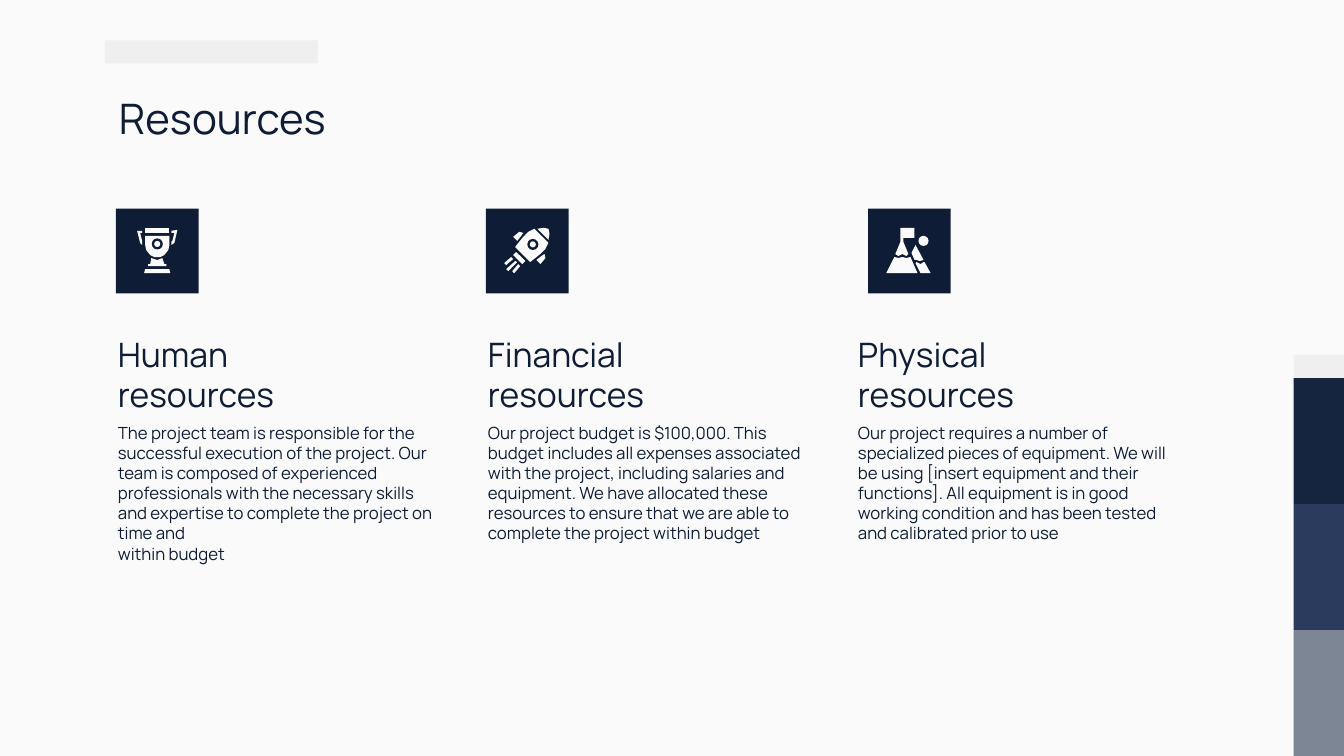
from dataclasses import dataclass
from pptx import Presentation
from pptx.dml.color import RGBColor as Rgb
from pptx.enum.shapes import MSO_SHAPE as Kind
from pptx.enum.text import MSO_ANCHOR as Anchor, MSO_AUTO_SIZE as Fit, PP_ALIGN as Align
from pptx.util import Inches, Pt


@dataclass(frozen=True)
class Theme:
    font: str = "Manrope"
    page: str = "FAFAFA"
    ink: str = "0E1D35"
    pale: str = "EFEFEF"
    title: int = 30
    head: int = 24
    body: int = 12


T = Theme()
TITLE = "Resources"
BANDS = ["15253F", "2B3B5D", "7C8594"]

TROPHY = {
    "parts": [
        [(35, 49), (34, 55), (32, 55), (32, 57), (50, 57), (50, 55), (48, 55), (46, 49), (41, 51)],
        [(29, 60), (28, 64), (54, 64), (53, 60)],
        [(29, 27), (29, 36), (30, 41), (34, 46), (38, 48), (44, 48), (48, 46), (52, 41),
         (53, 36), (53, 27)],
        [(29, 19), (29, 24), (53, 24), (53, 19)],
        [(61, 21), (55, 22), (55, 24), (58, 24), (56, 32), (55, 33), (55, 36), (58, 34)],
        [(21, 22), (24, 34), (26, 36), (26, 32), (24, 24), (26, 24), (26, 22)],
    ],
    "discs": [(41, 35, 5.5, T.ink), (41, 35, 3, T.page)],
}
ROCKET = {
    "parts": [
        [(30, 43), (27, 46), (36, 55), (39, 52)],
        [(33, 23), (27, 28), (31, 32), (35, 27), (37, 24)],
        [(58, 45), (55, 47), (50, 51), (54, 55), (59, 49)],
        [(25, 48), (18, 54), (20, 56), (27, 50)],
        [(29, 52), (20, 60), (22, 62), (31, 53)],
        [(32, 55), (26, 62), (28, 64), (34, 57)],
        [(51, 20), (57, 19), (62, 20), (63, 25), (62, 31)],
        [(48, 20), (42, 23), (37, 28), (29, 38), (44, 53), (54, 45), (59, 40), (62, 34)],
    ],
    "discs": [(46.5, 35.5, 5.5, T.ink), (46.5, 35.5, 3, T.page)],
}
PEAK = {
    "parts": [
        [(42, 48), (38, 49), (34, 48), (30, 49), (26, 48), (18, 64), (49, 64)],
        [(32, 19), (32, 33), (27, 45), (30, 47), (34, 45), (38, 47), (40, 45), (35, 33),
         (35, 29), (46, 29), (46, 19)],
        [(47, 36), (43, 44), (46, 51), (48, 51), (51, 52), (55, 51)],
        [(55, 53), (52, 55), (48, 53), (47, 54), (52, 64), (62, 64), (56, 53)],
    ],
    "discs": [(55, 32, 5, T.page)],
}

ITEMS = [
    (1.15, TROPHY, ["Human", "resources"], [
        "The project team is responsible for the successful execution of the project. "
        "Our team is composed of experienced professionals with the necessary skills "
        "and expertise to complete the project on time and",
        "within budget"]),
    (4.82, ROCKET, ["Financial", "resources"], [
        "Our project budget is $100,000. This budget includes all expenses associated "
        "with the project, including salaries and equipment. We have allocated these "
        "resources to ensure that we are able to complete the project within budget"]),
    (8.61, PEAK, ["Physical", "resources"], [
        "Our project requires a number of specialized pieces of equipment. We will be "
        "using [insert equipment and their functions]. All equipment is in good working "
        "condition and has been tested and calibrated prior to use"]),
]


def paint(shape, color):
    shape.shadow.inherit = False
    shape.fill.solid()
    shape.fill.fore_color.rgb = Rgb.from_string(color)
    shape.line.fill.background()


def block(shapes, kind, box, color):
    paint(shapes.add_shape(kind, *map(Inches, box)), color)


def write(shape, lines, size, anchor=Anchor.TOP):
    frame = shape.text_frame
    frame.word_wrap = True
    frame.auto_size = Fit.NONE
    frame.vertical_anchor = anchor
    frame.margin_left = frame.margin_right = Inches(0.13)
    frame.margin_top = frame.margin_bottom = Inches(0.13)
    for i, line in enumerate(lines):
        para = frame.add_paragraph() if i else frame.paragraphs[0]
        para.alignment = Align.LEFT
        run = para.add_run()
        run.text = line
        run.font.name = T.font
        run.font.size = Pt(size)
        run.font.color.rgb = Rgb.from_string(T.ink)


def draw(shapes, icon, left, top):
    group = shapes.add_group_shape().shapes
    for first, *rest in icon["parts"]:
        pen = group.build_freeform(*first, scale=Inches(0.01))
        pen.add_line_segments(rest, close=True)
        paint(pen.convert_to_shape(Inches(left), Inches(top)), T.page)
    for x, y, r, color in icon["discs"]:
        box = (left + (x - r) / 100, top + (y - r) / 100, r / 50, r / 50)
        block(group, Kind.OVAL, box, color)


def main():
    deck = Presentation()
    deck.slide_width, deck.slide_height = Inches(13.33), Inches(7.5)
    slide = deck.slides.add_slide(deck.slide_layouts[5])
    slide.background.fill.solid()
    slide.background.fill.fore_color.rgb = Rgb.from_string(T.page)
    shapes = slide.shapes

    for i, color in enumerate(BANDS):
        block(shapes, Kind.RECTANGLE, (12.83, 3.75 + 1.25 * i, 0.5, 1.25), color)
    block(shapes, Kind.RECTANGLE, (12.83, 3.52, 0.5, 0.23), T.pale)
    block(shapes, Kind.RECTANGLE, (1.04, 0.4, 2.11, 0.23), T.pale)

    title = shapes.title
    title.left, title.top = Inches(1.05), Inches(0.79)
    title.width, title.height = Inches(11.23), Inches(0.84)
    write(title, [TITLE], T.title)

    for i, (tile, icon, head, body) in enumerate(ITEMS):
        left = 1.04 + 3.67 * i
        box = shapes.add_textbox(*map(Inches, (left, 3.21, 3.46, 1.03)))
        write(box, head, T.head, Anchor.BOTTOM)
        box = shapes.add_textbox(*map(Inches, (left, 4.06, 3.46, 2.65)))
        write(box, body, T.body)
        block(shapes, Kind.RECTANGLE, (tile, 2.07, 0.82, 0.84), T.ink)
        draw(shapes, icon, tile, 2.07)

    deck.save("out.pptx")


if __name__ == "__main__":
    main()
